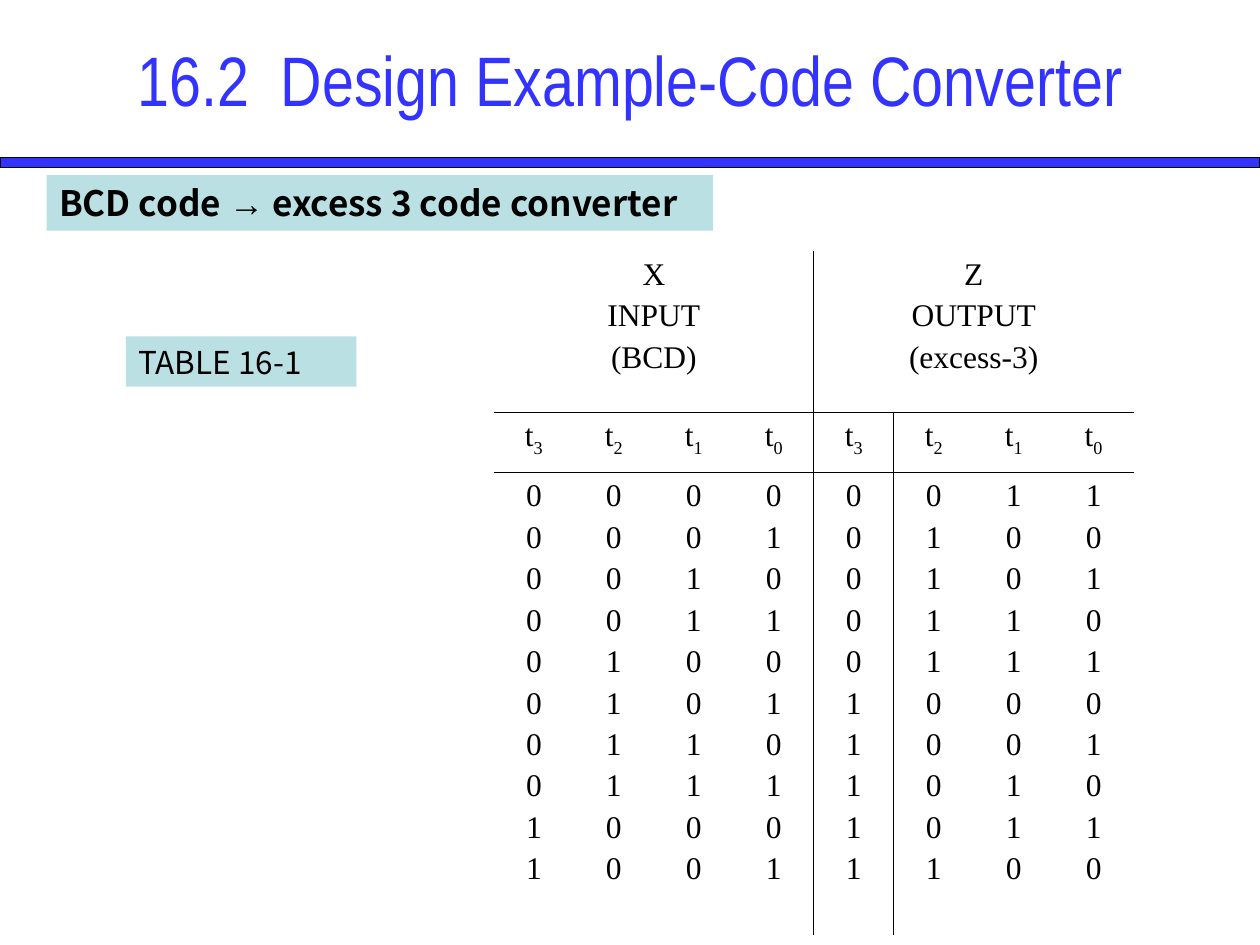
from dataclasses import dataclass

from lxml.etree import SubElement
from pptx import Presentation
from pptx.dml.color import RGBColor
from pptx.enum.shapes import MSO_SHAPE as Shape
from pptx.enum.text import MSO_ANCHOR as Anchor, PP_ALIGN as Align
from pptx.oxml.ns import qn
from pptx.util import Inches, Pt

NO_STYLE_NO_GRID = "{2D5ABB26-0587-4C30-8999-92F81FD0307C}"


@dataclass(frozen=True)
class Theme:
    blue: str = "3333FF"
    pale: str = "BBE0E3"
    black: str = "000000"
    title_font: str = "Arial Narrow"
    label_font: str = "Noto Sans CJK KR"
    arrow_font: str = "Arial"
    table_font: str = "Times New Roman"
    title_size: float = 40
    heading_size: float = 20
    body_size: float = 18
    row_gap: float = 3.75
    bar_line: float = 0.75
    rule_line: float = 0.45


def add_span(para, text, *, font, size, color, bold=False, subscript=False):
    span = para.add_run()
    span.text = text
    span.font.name = font
    span.font.size = Pt(size)
    span.font.bold = bold
    span.font.color.rgb = RGBColor.from_string(color)
    if subscript:
        span.font._element.set("baseline", "-25000")


def add_border(cell, side, width, color):
    """Draw one cell edge; call in the order L, R, T, B, before the fill."""
    line = SubElement(cell._tc.get_or_add_tcPr(), qn(f"a:ln{side}"), w=str(Pt(width)))
    fill = SubElement(line, qn("a:solidFill"))
    SubElement(fill, qn("a:srgbClr"), val=color)


class SlideBuilder:
    def __init__(self, page, theme):
        self.page = page
        self.theme = theme

    def title(self, text, left, top, width, height):
        box = self.page.shapes.add_textbox(
            Inches(left), Inches(top), Inches(width), Inches(height))
        frame = box.text_frame
        frame.word_wrap = True
        frame.vertical_anchor = Anchor.MIDDLE
        para = frame.paragraphs[0]
        para.alignment = Align.CENTER
        add_span(para, text, font=self.theme.title_font,
                 size=self.theme.title_size, color=self.theme.blue)

    def rectangle(self, left, top, width, height, fill, line=None):
        box = self.page.shapes.add_shape(
            Shape.RECTANGLE, Inches(left), Inches(top), Inches(width), Inches(height))
        box.shadow.inherit = False
        box.fill.solid()
        box.fill.fore_color.rgb = RGBColor.from_string(fill)
        if line:
            box.line.color.rgb = RGBColor.from_string(line)
            box.line.width = Pt(self.theme.bar_line)
        else:
            box.line.fill.background()
        return box

    def label(self, spans, left, top, width, height, size, bold=False):
        """Add a pale box holding (text, font) spans."""
        box = self.rectangle(left, top, width, height, self.theme.pale)
        frame = box.text_frame
        frame.word_wrap = True
        frame.vertical_anchor = Anchor.TOP
        para = frame.paragraphs[0]
        para.alignment = Align.LEFT
        for text, font in spans:
            add_span(para, text, font=font, size=size, color=self.theme.black, bold=bold)

    def cell_text(self, cell, lines):
        """Fill a cell with centred lines, each a (text, subscript) pair."""
        frame = cell.text_frame
        style = dict(font=self.theme.table_font, size=self.theme.body_size,
                     color=self.theme.black)
        for index, (text, subscript) in enumerate(lines):
            para = frame.add_paragraph() if index else frame.paragraphs[0]
            para.alignment = Align.CENTER
            if index:
                para.space_before = Pt(self.theme.row_gap)
            add_span(para, text, **style)
            if subscript:
                add_span(para, subscript, subscript=True, **style)

    def code_table(self, headers, codes, left, top, width, row_heights):
        bits = len(codes[0][0])
        columns = bits * len(headers)
        table_shape = self.page.shapes.add_table(
            len(row_heights), columns, Inches(left), Inches(top),
            Inches(width), Inches(sum(row_heights)))
        table = table_shape.table
        table.first_row = table.horz_banding = False
        table._tbl.tblPr.find(qn("a:tableStyleId")).text = NO_STYLE_NO_GRID
        for column in table.columns:
            column.width = Inches(width / columns)
        for row, height in zip(table.rows, row_heights):
            row.height = Inches(height)

        for group, header in enumerate(headers):
            first = group * bits
            table.cell(0, first).merge(table.cell(0, first + bits - 1))
            self.cell_text(table.cell(0, first), [(line, "") for line in header])
            for bit in range(bits):
                self.cell_text(table.cell(1, first + bit), [("t", str(bits - 1 - bit))])
                self.cell_text(table.cell(2, first + bit),
                               [(code[group][bit], "") for code in codes])
        self.table_rules(table, bits)

    def table_rules(self, table, middle):
        last_row = len(table.rows) - 1
        for row in range(last_row + 1):
            for column in range(len(table.columns)):
                cell = table.cell(row, column)
                starts_group = column == middle
                ends_group = column == middle - 1 or (row == 0 and column == 0)
                edges = {"L": starts_group, "R": ends_group,
                         "T": row > 0, "B": row < last_row}
                for side, drawn in edges.items():
                    if drawn:
                        add_border(cell, side, self.theme.rule_line, self.theme.black)
                cell.fill.background()


def main():
    theme = Theme()
    deck = Presentation()
    deck.slide_width, deck.slide_height = Inches(10), Inches(7.5)
    slide = SlideBuilder(deck.slides.add_slide(deck.slide_layouts[6]), theme)

    slide.rectangle(0, 1.25, 10, 0.08, theme.blue, line=theme.black)
    slide.title("16.2  Design Example-Code Converter", 0, 0, 10, 1.25)
    slide.label([("TABLE 16-1", theme.label_font)], 1, 2.67, 1.83, 0.4, theme.body_size)

    codes = [(f"{digit:04b}", f"{digit + 3:04b}") for digit in range(10)]
    headers = [("X", "INPUT", "(BCD)"), ("Z", "OUTPUT", "(excess-3)")]
    slide.code_table(headers, codes, 3.92, 1.99, 5.08, [1.28, 0.48, 3.67])

    slide.label([("BCD code ", theme.label_font), ("→", theme.arrow_font),
                 (" excess 3 code converter", theme.label_font)],
                0.37, 1.39, 5.29, 0.44, theme.heading_size, bold=True)
    deck.save("out.pptx")


if __name__ == "__main__":
    main()
